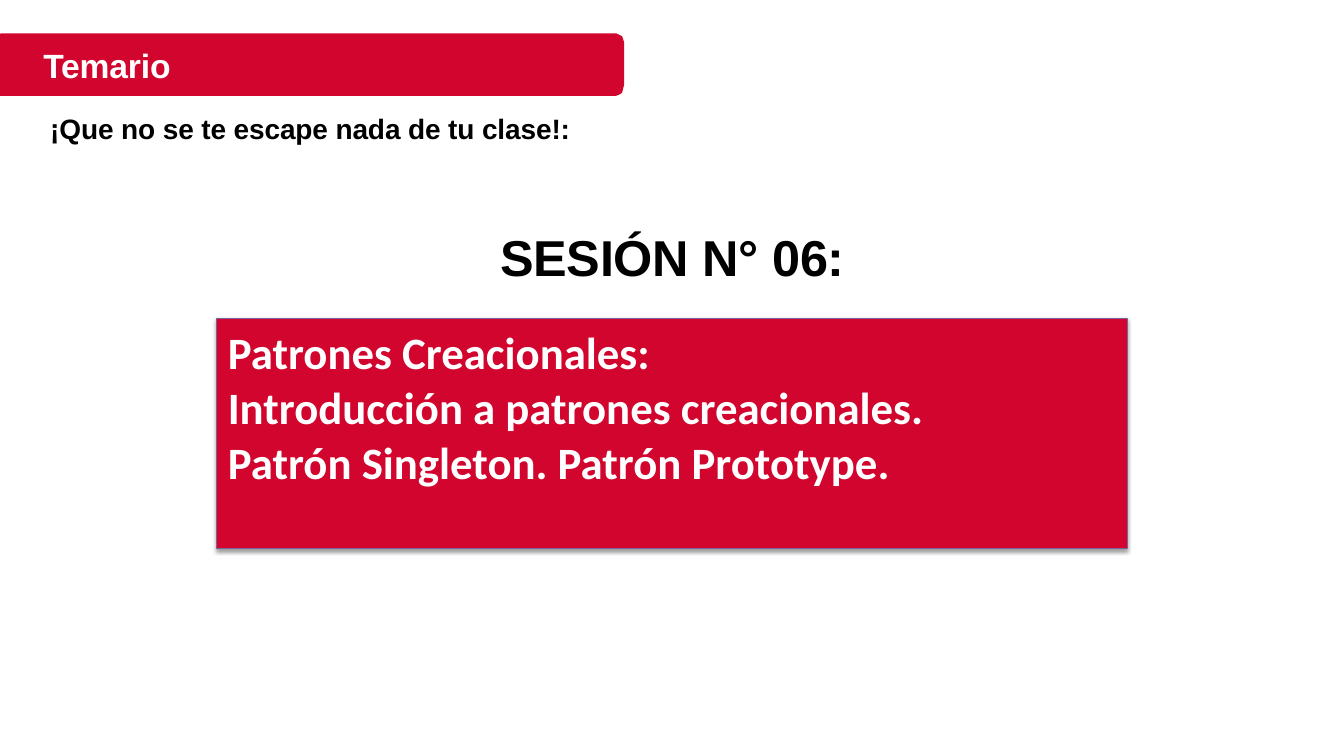
from lxml import etree
from pptx import Presentation
from pptx.dml.color import RGBColor
from pptx.enum import shapes, text
from pptx.oxml import ns
from pptx.util import Inches, Pt

COLORS = {"red": "D1052D", "purple": "7D60A0", "white": "FFFFFF", "black": "000000"}


def color(name):
    return RGBColor.from_string(COLORS[name])


def write(shape, lines, size, color_name, font="Arial", spacing=0,
          align=text.PP_ALIGN.LEFT, **frame_format):
    """Fill a shape with bold lines; spacing is in hundredths of a point."""
    frame = shape.text_frame
    frame_values = {"word_wrap": True, "vertical_anchor": text.MSO_ANCHOR.TOP, **frame_format}
    for name, value in frame_values.items():
        setattr(frame, name, value)
    for index, line in enumerate(lines):
        paragraph = frame.paragraphs[0] if index == 0 else frame.add_paragraph()
        paragraph.alignment = align
        if index:
            paragraph.space_before = Pt(1)
        run = paragraph.add_run()
        run.text = line
        for name, value in {"name": font, "size": Pt(size), "bold": True}.items():
            setattr(run.font, name, value)
        run.font.color.rgb = color(color_name)
        if spacing:
            run.font._element.set("spc", str(spacing))


presentation = Presentation()
presentation.slide_width = Inches(13.33)
presentation.slide_height = Inches(7.5)
slide = presentation.slides.add_slide(presentation.slide_layouts[6])

# Topic panel with a soft shadow below it
panel = slide.shapes.add_shape(
    shapes.MSO_SHAPE.RECTANGLE, Inches(2.15), Inches(3.16), Inches(9.03), Inches(2.28))
panel.fill.solid()
panel.fill.fore_color.rgb = color("red")
panel.line.color.rgb = color("purple")
panel.line.width = Pt(0.75)
panel.shadow.inherit = False
effects = panel._element.spPr.find(ns.qn("a:effectLst"))
shadow = etree.SubElement(effects, ns.qn("a:outerShdw"), blurRad=str(Pt(3.1)),
                          dist=str(Pt(1.6)), dir="5400000", rotWithShape="0")
shadow_color = etree.SubElement(shadow, ns.qn("a:srgbClr"), val=COLORS["black"])
etree.SubElement(shadow_color, ns.qn("a:alpha"), val="38000")
write(panel, ["Patrones Creacionales:",
              "Introducción a patrones creacionales.",
              "Patrón Singleton. Patrón Prototype."],
      32, "white", font="Calibri", margin_left=Inches(0.11), margin_top=Inches(0.06))

# Title banner, rounded on the right, in hundredths of an inch
outline = [(1, 95), (0, 95), (0, 34), (1, 33), (611, 33), (613, 34), (617, 36),
           (619, 42), (619, 84), (618, 88), (617, 92), (614, 94)]
builder = slide.shapes.build_freeform(611, 95, scale=Inches(0.01))
builder.add_line_segments(outline, close=True)
banner = builder.convert_to_shape()
banner.fill.solid()
banner.fill.fore_color.rgb = color("red")
banner.line.fill.background()
banner.shadow.inherit = False

session = slide.shapes.add_textbox(Inches(4.46), Inches(2.18), Inches(4.42), Inches(0.71))
write(session, ["SESIÓN N° 06:"], 36, "black", spacing=-20,
      align=text.PP_ALIGN.CENTER, margin_top=Inches(0.06))

title = slide.shapes.add_textbox(Inches(0.42), Inches(0.42), Inches(5.17), Inches(0.42))
write(title, ["Temario"], 24, "white", spacing=-10, margin_left=Inches(0.01),
      margin_top=Inches(0.03), margin_right=0, margin_bottom=0)

reminder = slide.shapes.add_textbox(Inches(0.4), Inches(1.06), Inches(5.86), Inches(0.44))
write(reminder, ["¡Que no se te escape nada de tu clase!:"], 20, "black", spacing=-10)

presentation.save("out.pptx")
